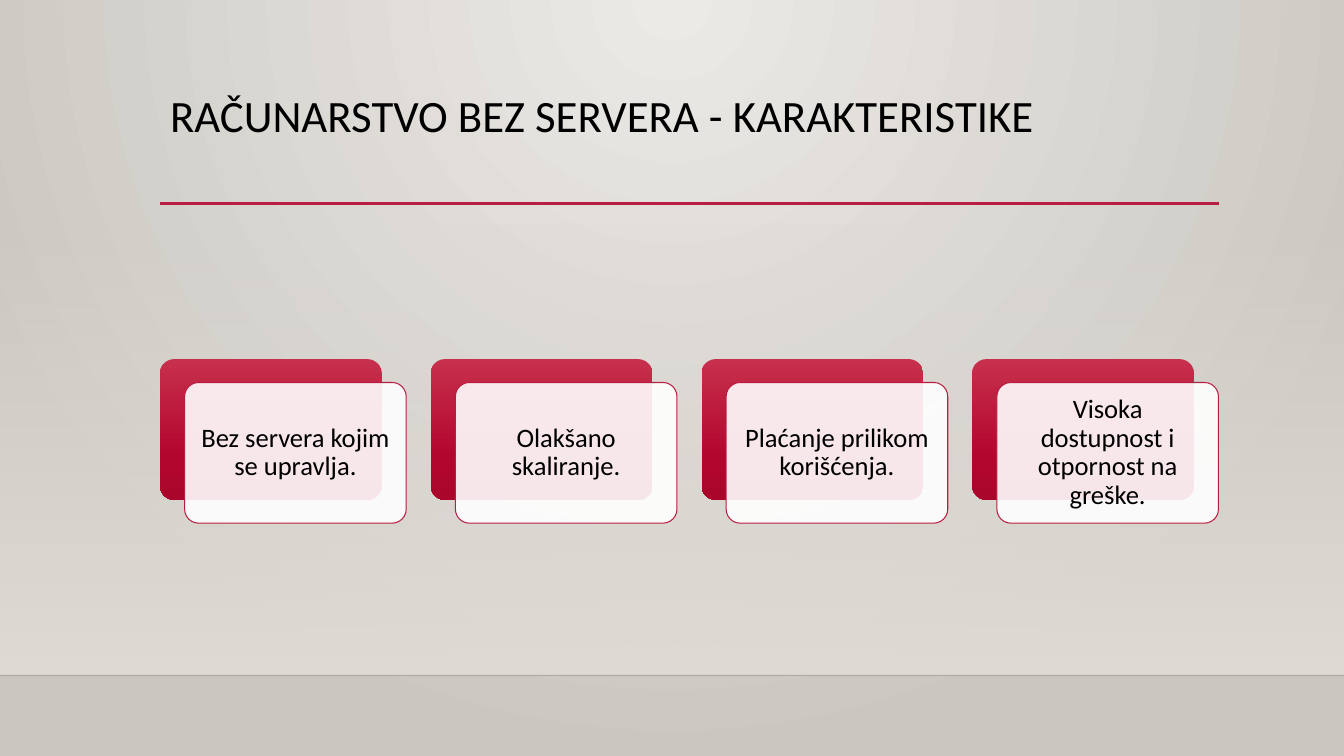
from lxml import etree
from pptx import Presentation
from pptx.dml.color import RGBColor
from pptx.enum.shapes import MSO_CONNECTOR as Connector, MSO_SHAPE as Shape
from pptx.enum.text import MSO_ANCHOR as Anchor, PP_ALIGN as Align
from pptx.oxml.ns import qn
from pptx.util import Pt

COLORS = {
    "text": "000000", "edge": "000001", "accent": "B71E42", "card": "FFFFFF",
    "wall_light": "ECEAE7", "wall_dark": "CAC7C1", "haze": "DFDBD5",
    "red_top": "C7304C", "red_middle": "B3062F", "red_bottom": "AA062C",
}
WIDTH, HEIGHT = 960, 540
FEATURES = [
    "Bez servera kojim se upravlja.",
    "Olakšano skaliranje.",
    "Plaćanje prilikom korišćenja.",
    "Visoka dostupnost i otpornost na greške.",
]
LEFT, PITCH = 114.3, 193.4
CARD_TOP, CARD_WIDTH, CARD_HEIGHT = 256.5, 158.3, 100.5
SHIFT_X, SHIFT_Y = 17.6, 16.7


class Painter:
    """Holds the style and the current page, and draws each kind of element."""

    def __init__(self, page, font="Calibri"):
        self.page = page
        self.font = font

    def color(self, name):
        return RGBColor.from_string(COLORS[name])

    def set_alpha(self, color_node, percent):
        etree.SubElement(color_node, qn("a:alpha"), val=str(percent * 1000))

    def gradient(self, fill, owner, stops, circle=None):
        fill.gradient()
        node = owner.find(".//" + qn("a:gradFill"))
        for child in list(node):
            node.remove(child)
        stop_list = etree.SubElement(node, qn("a:gsLst"))
        for position, name, alpha in stops:
            stop = etree.SubElement(stop_list, qn("a:gs"), pos=str(position * 1000))
            color_node = etree.SubElement(stop, qn("a:srgbClr"), val=COLORS[name])
            if alpha < 100:
                self.set_alpha(color_node, alpha)
        if circle:
            shade = etree.SubElement(node, qn("a:path"), path="circle")
            sides = {side: str(value * 1000) for side, value in zip("ltrb", circle)}
            etree.SubElement(shade, qn("a:fillToRect"), **sides)
        else:
            etree.SubElement(node, qn("a:lin"), ang="5400000", scaled="0")

    def background(self, stops, circle):
        self.gradient(self.page.background.fill, self.page.element, stops, circle)

    def box(self, kind, left, top, width, height):
        box = self.page.shapes.add_shape(kind, Pt(left), Pt(top), Pt(width), Pt(height))
        box.shadow.inherit = False
        box.line.fill.background()
        if kind == Shape.ROUNDED_RECTANGLE:
            box.adjustments[0] = 0.1
        return box

    def gradient_box(self, kind, left, top, width, height, stops):
        box = self.box(kind, left, top, width, height)
        self.gradient(box.fill, box.element, stops)

    def card(self, left, top, width, height, text):
        box = self.box(Shape.ROUNDED_RECTANGLE, left, top, width, height)
        box.fill.solid()
        box.fill.fore_color.rgb = self.color("card")
        self.set_alpha(box.element.spPr.find(".//" + qn("a:srgbClr")), 90)
        box.line.color.rgb = self.color("accent")
        box.line.width = Pt(0.75)
        self.set_text(box.text_frame, text, 19, Align.CENTER, Anchor.MIDDLE, 5.7, 5.7)

    def rule(self, left, right, y, name, width, alpha=100):
        line = self.page.shapes.add_connector(
            Connector.STRAIGHT, Pt(left), Pt(y), Pt(right), Pt(y))
        line.line.color.rgb = self.color(name)
        line.line.width = Pt(width)
        properties = line.element.spPr
        if alpha < 100:
            self.set_alpha(properties.find(".//" + qn("a:srgbClr")), alpha)
        etree.SubElement(properties, qn("a:effectLst"))

    def title(self, left, top, width, height, text):
        title = self.page.shapes.title
        title.left, title.top, title.width, title.height = map(Pt, (left, top, width, height))
        self.set_text(title.text_frame, text, 32, Align.LEFT, Anchor.TOP, 7.2, 3.6)

    def set_text(self, frame, text, size, align, anchor, side, edge):
        frame.text = text
        frame.word_wrap = True
        frame.vertical_anchor = anchor
        frame.margin_left = frame.margin_right = Pt(side)
        frame.margin_top = frame.margin_bottom = Pt(edge)
        para = frame.paragraphs[0]
        para.alignment = align
        para.line_spacing = 0.9
        for span in para.runs:
            span.font.name = self.font
            span.font.size = Pt(size)
            span.font.color.rgb = self.color("text")


def main():
    deck = Presentation()
    deck.slide_width, deck.slide_height = Pt(WIDTH), Pt(HEIGHT)
    painter = Painter(deck.slides.add_slide(deck.slide_layouts[5]))

    painter.background([(0, "wall_light", 100), (100, "wall_dark", 100)], (43, 0, 43, 100))
    painter.gradient_box(Shape.RECTANGLE, 0, 159, WIDTH, 323.5,
                         [(0, "haze", 0), (100, "haze", 100)])
    painter.rule(0, WIDTH, 482.5, "edge", 1, alpha=20)
    painter.rule(LEFT, 871, 145.3, "accent", 2.5)
    painter.title(LEFT, 63.3, 756, 82.5, "RAČUNARSTVO BEZ SERVERA - KARAKTERISTIKE")

    red = [(0, "red_top", 100), (69, "red_middle", 100), (100, "red_bottom", 100)]
    for index, feature in enumerate(FEATURES):
        left = LEFT + index * PITCH
        painter.gradient_box(Shape.ROUNDED_RECTANGLE, left, CARD_TOP,
                             CARD_WIDTH, CARD_HEIGHT, red)
        painter.card(left + SHIFT_X, CARD_TOP + SHIFT_Y, CARD_WIDTH, CARD_HEIGHT, feature)

    deck.save("out.pptx")


if __name__ == "__main__":
    main()
